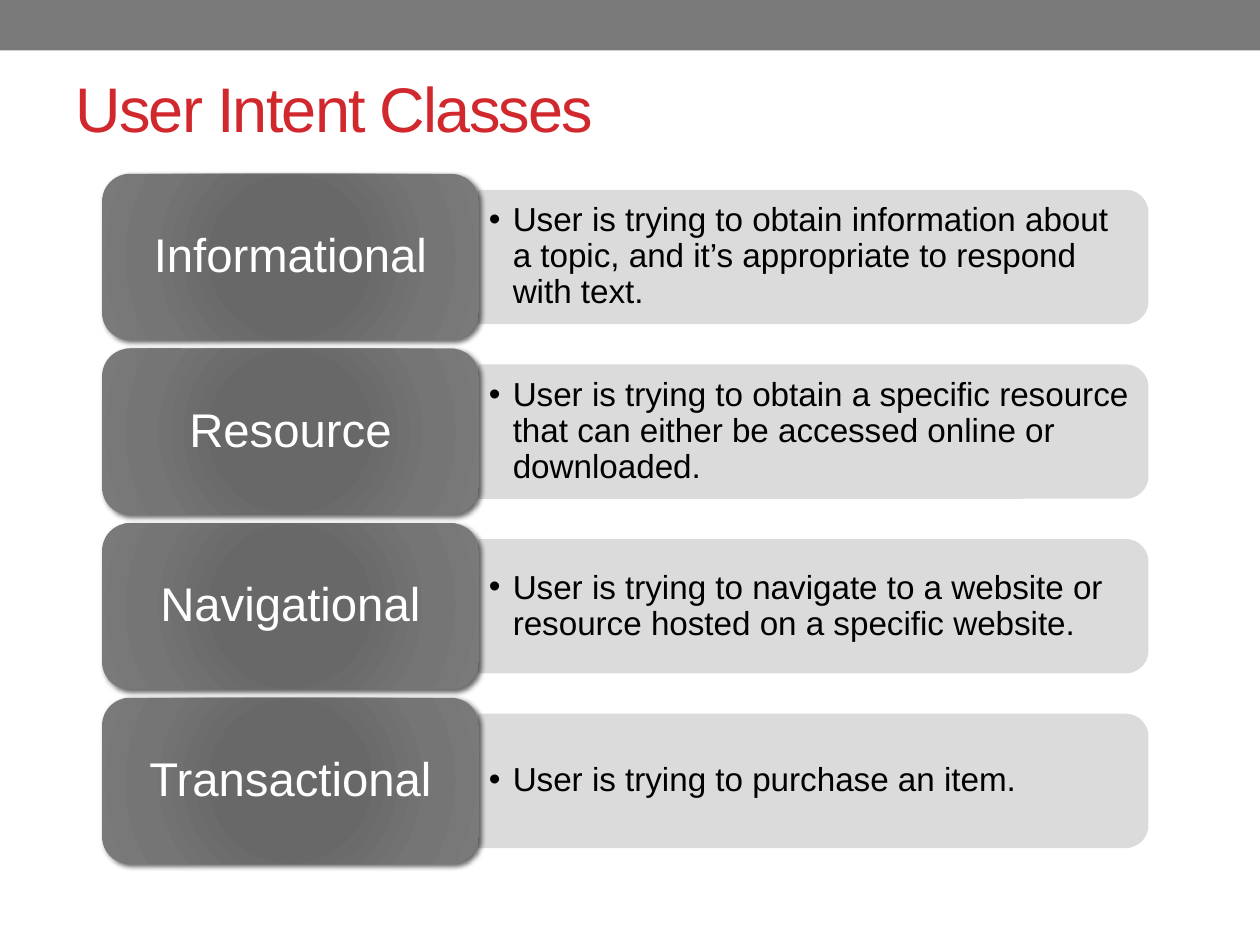
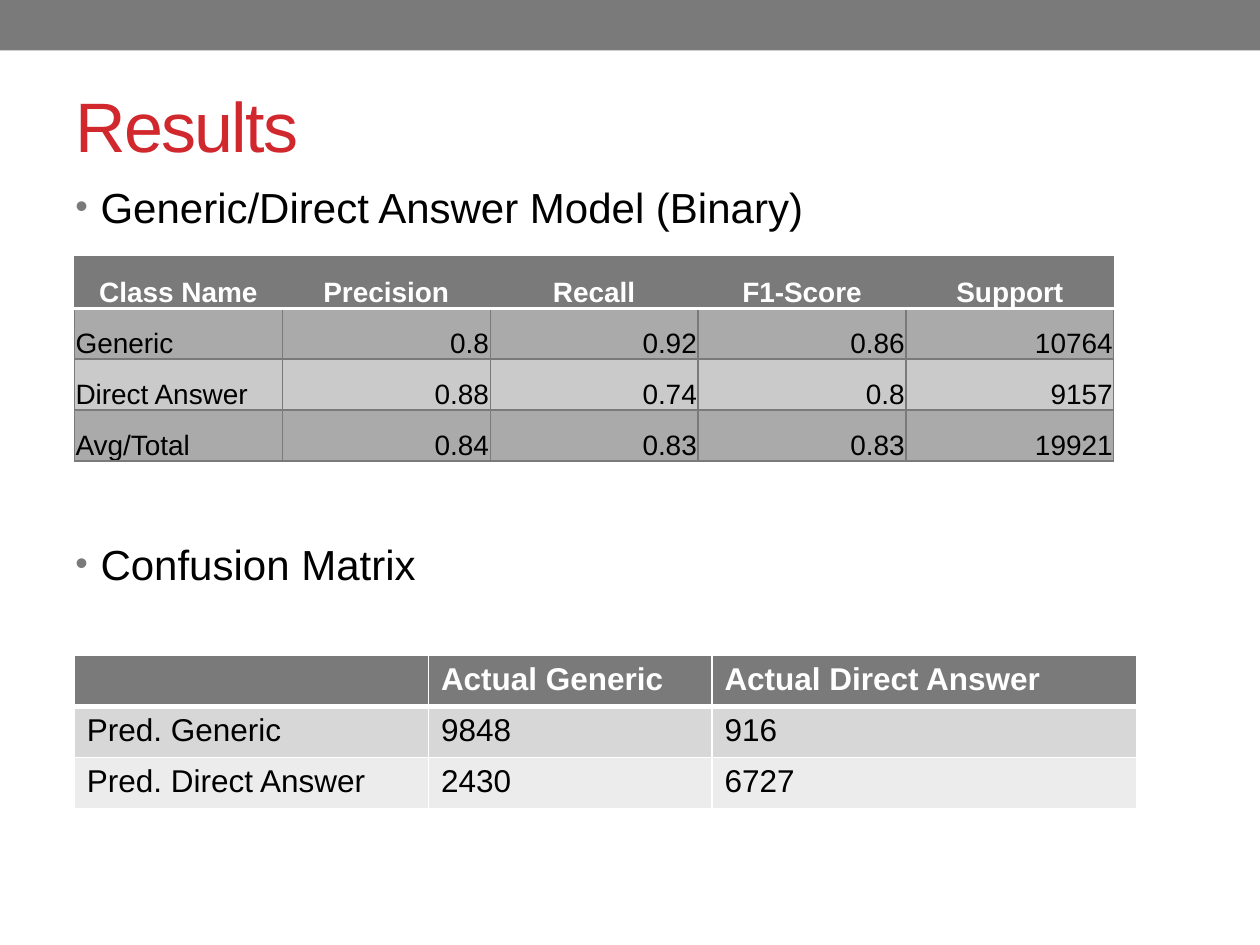
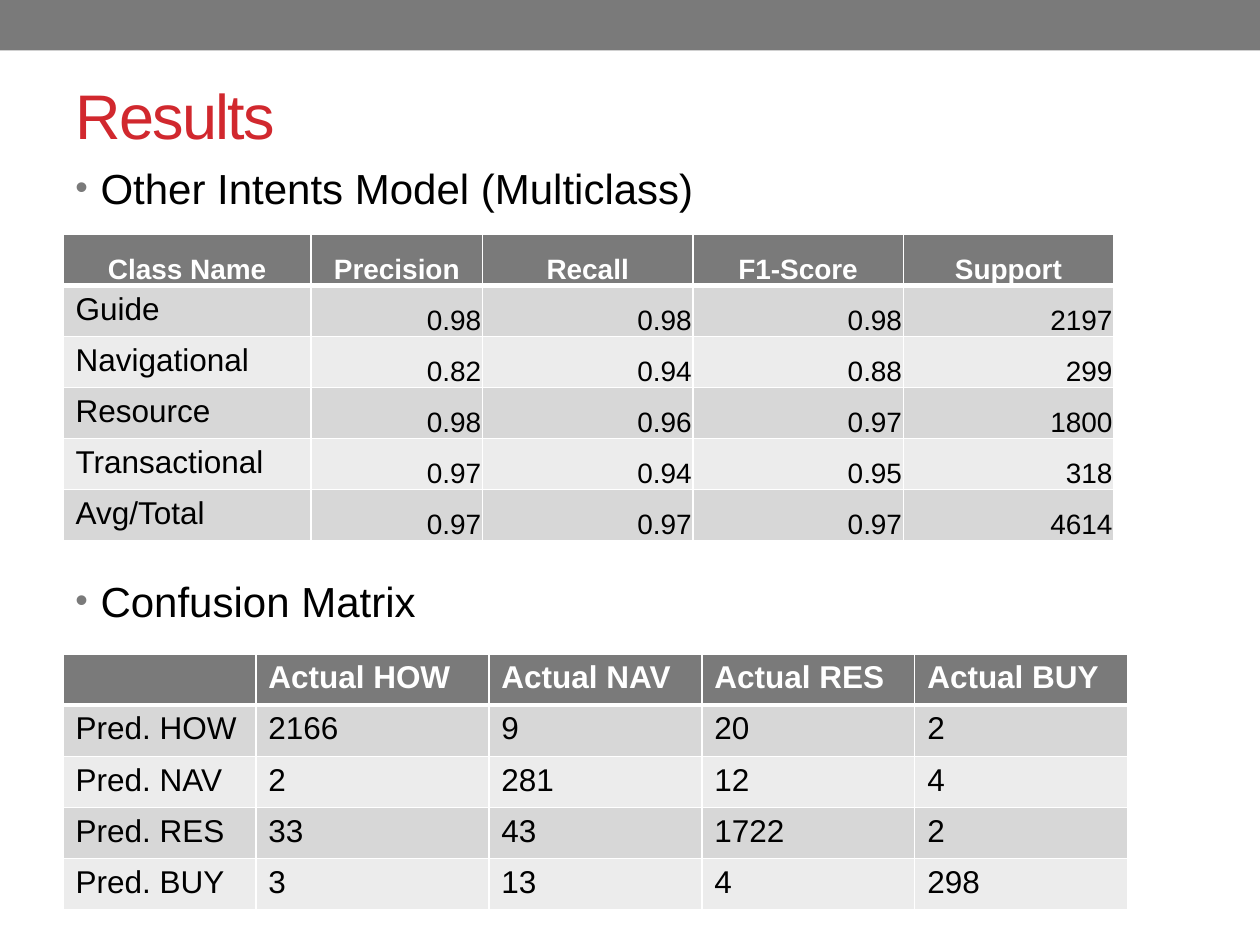
from lxml import etree
from pptx import Presentation
from pptx.dml.color import RGBColor
from pptx.enum.shapes import MSO_SHAPE
from pptx.enum.text import MSO_ANCHOR, PP_ALIGN
from pptx.oxml import parse_xml
from pptx.oxml.ns import nsdecls, qn
from pptx.util import Inches, Pt

BAND, CARD, PANEL = MSO_SHAPE.RECTANGLE, MSO_SHAPE.ROUNDED_RECTANGLE, MSO_SHAPE.ROUND_2_SAME_RECTANGLE
MIDDLE, BOTTOM, TOP = MSO_ANCHOR.MIDDLE, MSO_ANCHOR.BOTTOM, MSO_ANCHOR.TOP
LEFT, CENTER, RIGHT = PP_ALIGN.LEFT, PP_ALIGN.CENTER, PP_ALIGN.RIGHT

FONT = "Arial"
COLORS = {
    "gray": "7A7A7A", "red": "D1282E", "black": "000000", "white": "FFFFFF",
    "panel": "DBDBDB", "dark": "686868", "mid": "757575",
    "light band": "ECECEC", "band": "D7D7D7",
    "metric light": "CACACA", "metric band": "AAAAAA",
}


def style_paragraph(para, size, color, align=LEFT, bold=False, bullet=None):
    """Format a paragraph; bullet is (indent in inches, size percent, color)."""
    para.alignment = align
    for span in para.runs:
        span.font.name, span.font.size, span.font.bold = FONT, Pt(size), bold
        span.font.color.rgb = RGBColor.from_string(COLORS[color])
    if bullet:
        indent, percent, bullet_color = bullet
        props = para._p.get_or_add_pPr()
        props.set("marL", str(Inches(indent)))
        props.set("indent", str(-Inches(indent)))
        mark = etree.SubElement(props, qn("a:buClr"))
        etree.SubElement(mark, qn("a:srgbClr"), val=COLORS[bullet_color])
        etree.SubElement(props, qn("a:buSzPct"), val=str(percent * 1000))
        etree.SubElement(props, qn("a:buFont"), typeface=FONT)
        etree.SubElement(props, qn("a:buChar"), char="•")


def add_grid(page, rows, left, top, height, widths, bands=("band", "light band"),
             line=("white", 1), header_line=("white", 3), tight_from=None):
    """Add a table; body cells from column tight_from on are small and bottom-set."""
    frame = page.shapes.add_table(len(rows), len(widths), Inches(left), Inches(top),
                                  Inches(sum(widths)), Inches(height))
    table = frame.table
    table.horz_banding = False
    for column, width in zip(table.columns, widths):
        column.width = Inches(width)
    for r, values in enumerate(rows):
        table.rows[r].height = Inches(height / len(rows))
        for c, value in enumerate(values):
            cell = table.cell(r, c)
            cell.text = value
            header = r == 0
            tight = tight_from is not None and (header or c >= tight_from)
            align = LEFT
            if tight:
                cell.margin_left = cell.margin_right = cell.margin_top = Inches(0.01)
                cell.margin_bottom = 0
                align = CENTER if header else RIGHT if c else LEFT
            cell.vertical_anchor = BOTTOM if tight else TOP
            style_paragraph(cell.text_frame.paragraphs[0], 16 if tight else 18,
                            "white" if header else "black", align, header)
            cell.fill.solid()
            fill = "gray" if header else bands[(r - 1) % 2]
            cell.fill.fore_color.rgb = RGBColor.from_string(COLORS[fill])
            # Borders go before the fill in the cell properties
            borders = [("lnL", line), ("lnR", line),
                       ("lnT", header_line if r == 1 else line),
                       ("lnB", header_line if header else line)]
            for place, (tag, (color, points)) in enumerate(borders):
                cell._tc.get_or_add_tcPr().insert(place, parse_xml(
                    f'<a:{tag} {nsdecls("a")} w="{Pt(points)}"><a:solidFill>'
                    f'<a:srgbClr val="{COLORS[color]}"/></a:solidFill></a:{tag}>'))


deck = Presentation()
deck.slide_width, deck.slide_height = Inches(10), Inches(7.5)

# Top band and title on every slide: text, top, width, height, size
titles = [
    ("User Intent Classes", 0.59, 8.9, 0.52, 36),
    ("Results", 0.58, 9, 0.81, 40),
    ("Results", 0.58, 9, 0.65, 36),
]
pages = []
for title, top, width, height, size in titles:
    page = deck.slides.add_slide(deck.slide_layouts[6])
    pages.append(page)
    band = page.shapes.add_shape(BAND, 0, 0, deck.slide_width, Inches(0.4))
    band.shadow.inherit = False
    band.fill.solid()
    band.fill.fore_color.rgb = RGBColor.from_string(COLORS["gray"])
    band.line.fill.background()
    box = page.shapes.add_textbox(Inches(0.5), Inches(top), Inches(width), Inches(height))
    box.text_frame.word_wrap = True
    box.text_frame.vertical_anchor = MIDDLE
    box.text_frame.text = title
    para = box.text_frame.paragraphs[0]
    style_paragraph(para, size, "red")
    para.runs[0].font._element.set("spc", "-100")
intent_page, binary_page, multiclass_page = pages

# Intent classes: a card on the left, its description on a panel to the right
intents = [
    ("Informational", "User is trying to obtain information about a topic, "
                      "and it’s appropriate to respond with text."),
    ("Resource", "User is trying to obtain a specific resource that can either "
                 "be accessed online or downloaded."),
    ("Navigational", "User is trying to navigate to a website or resource "
                     "hosted on a specific website."),
    ("Transactional", "User is trying to purchase an item."),
]
card_left, card_top, card_width, card_height = 0.81, 1.38, 2.99, 1.32
panel_left, panel_width, panel_height = card_left + card_width, 5.31, card_height * 0.8
gradient_stops = [(0, "dark"), (34, "dark"), (70, "mid"), (100, "gray")]
stops_xml = "".join(f'<a:gs pos="{share * 1000}"><a:srgbClr val="{COLORS[color]}"/></a:gs>'
                    for share, color in gradient_stops)
for row, (name, description) in enumerate(intents):
    top = card_top + row * card_height * 1.05
    middle = top + card_height / 2

    # The panel is a tall shape turned a quarter, so its round corners face right
    panel = intent_page.shapes.add_shape(
        PANEL, Inches(panel_left + (panel_width - panel_height) / 2),
        Inches(middle - panel_width / 2), Inches(panel_height), Inches(panel_width))
    panel.rotation = 90
    panel.shadow.inherit = False
    panel.fill.solid()
    panel.fill.fore_color.rgb = RGBColor.from_string(COLORS["panel"])
    panel.line.color.rgb = RGBColor.from_string(COLORS["panel"])
    panel.line.width = Pt(0.75)

    box = intent_page.shapes.add_textbox(Inches(panel_left), Inches(middle - 0.475),
                                         Inches(5.26), Inches(0.95))
    frame = box.text_frame
    frame.word_wrap = True
    frame.vertical_anchor = MIDDLE
    frame.margin_left = frame.margin_right = Inches(0.08)
    frame.margin_top = frame.margin_bottom = Inches(0.04)
    frame.text = description
    frame.paragraphs[0].line_spacing = 0.9
    style_paragraph(frame.paragraphs[0], 19, "black", bullet=(0.19, 100, "black"))

    card = intent_page.shapes.add_shape(CARD, Inches(card_left), Inches(top),
                                        Inches(card_width), Inches(card_height))
    card.line.fill.background()
    card.shadow.inherit = False
    card._element.spPr.insert(2, parse_xml(
        f'<a:gradFill {nsdecls("a")} rotWithShape="1"><a:gsLst>{stops_xml}</a:gsLst>'
        '<a:path path="circle"><a:fillToRect l="100000" t="100000" r="100000" b="100000"/>'
        '</a:path></a:gradFill>'))
    card._element.spPr.find(qn("a:effectLst")).append(parse_xml(
        f'<a:outerShdw {nsdecls("a")} blurRad="{Pt(3)}" dist="{Pt(2)}" dir="2700000">'
        f'<a:srgbClr val="{COLORS["black"]}"><a:alpha val="60000"/></a:srgbClr></a:outerShdw>'))
    card.text_frame.word_wrap = True
    card.text_frame.vertical_anchor = MIDDLE
    card.text_frame.text = name
    card.text_frame.paragraphs[0].line_spacing = 0.9
    style_paragraph(card.text_frame.paragraphs[0], 27, "white", CENTER)

# Bullets that head the two tables of each results slide
headings = [
    (binary_page, "Generic/Direct Answer Model (Binary)", 1.39, 5.69, 175),
    (multiclass_page, "Other Intents Model (Multiclass)", 1.24, 6.13, 207),
]
for page, heading, top, height, gap in headings:
    box = page.shapes.add_textbox(Inches(0.5), Inches(top), Inches(9), Inches(height))
    box.text_frame.word_wrap = True
    box.text_frame.text = f"{heading}\nConfusion Matrix"
    for para, space in zip(box.text_frame.paragraphs, (2, gap)):
        para.space_before = Pt(space)
        style_paragraph(para, 24, "black", bullet=(0.2, 85, "gray"))

# Tables of the binary model
metrics = ["Class Name", "Precision", "Recall", "F1-Score", "Support"]
add_grid(binary_page, [
    metrics,
    ["Generic", "0.8", "0.92", "0.86", "10764"],
    ["Direct Answer", "0.88", "0.74", "0.8", "9157"],
    ["Avg/Total", "0.84", "0.83", "0.83", "19921"],
], 0.59, 2.04, 1.62, [1.65] * 5, bands=("metric band", "metric light"),
    line=("gray", 0.75), header_line=("white", 2), tight_from=0)
add_grid(binary_page, [
    ["", "Actual Generic", "Actual Direct Answer"],
    ["Pred. Generic", "9848", "916"],
    ["Pred. Direct Answer", "2430", "6727"],
], 0.59, 5.2, 1.22, [2.81, 2.25, 3.37])

# Tables of the multiclass model
add_grid(multiclass_page, [
    metrics,
    ["Guide", "0.98", "0.98", "0.98", "2197"],
    ["Navigational", "0.82", "0.94", "0.88", "299"],
    ["Resource", "0.98", "0.96", "0.97", "1800"],
    ["Transactional", "0.97", "0.94", "0.95", "318"],
    ["Avg/Total", "0.97", "0.97", "0.97", "4614"],
], 0.5, 1.86, 2.43, [1.97, 1.36] + [1.67] * 3, tight_from=1)
add_grid(multiclass_page, [
    ["", "Actual HOW", "Actual NAV", "Actual RES", "Actual BUY"],
    ["Pred. HOW", "2166", "9", "20", "2"],
    ["Pred. NAV", "2", "281", "12", "4"],
    ["Pred. RES", "33", "43", "1722", "2"],
    ["Pred. BUY", "3", "13", "4", "298"],
], 0.5, 5.19, 2.03, [1.53, 1.85] + [1.69] * 3)

deck.save("out.pptx")
